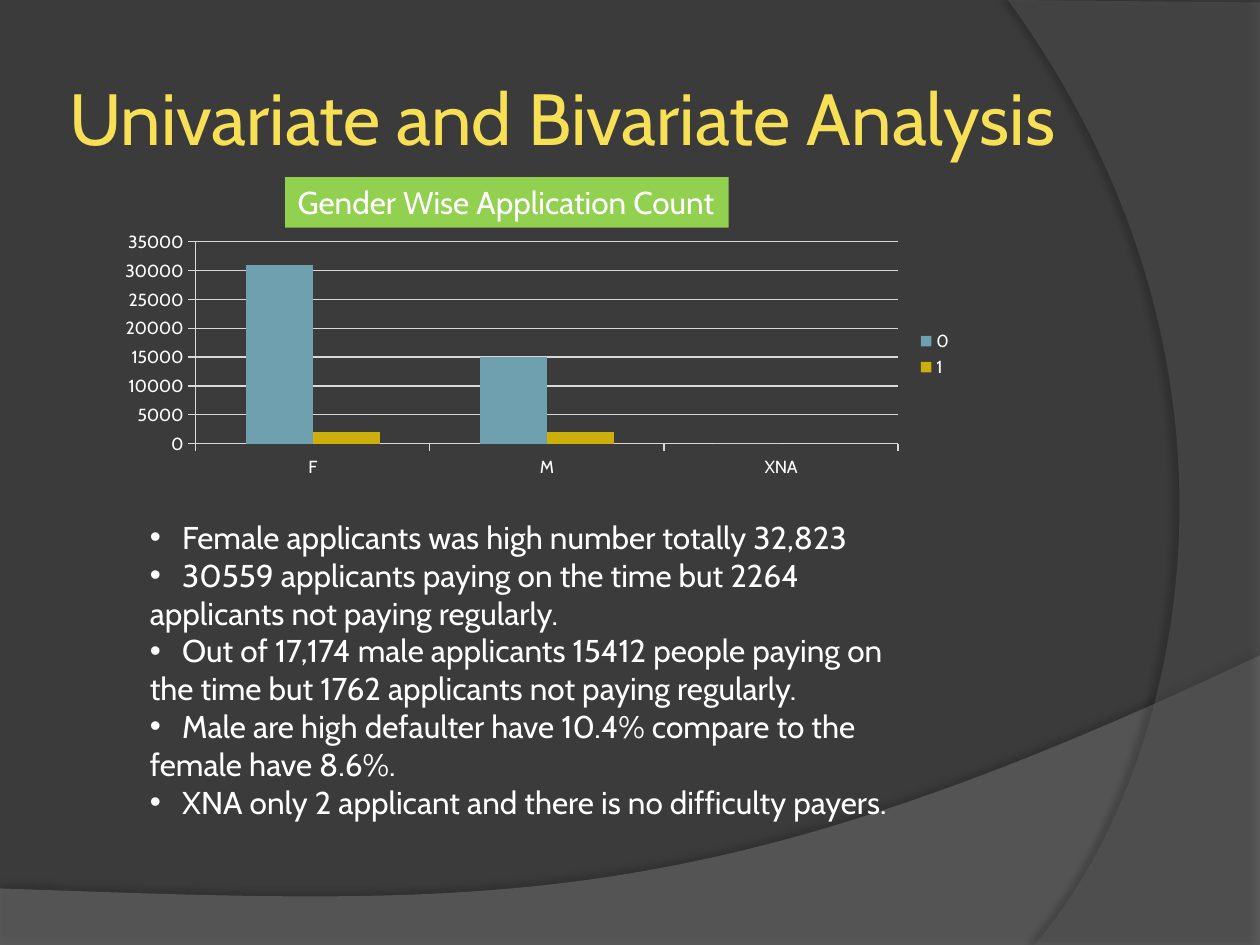
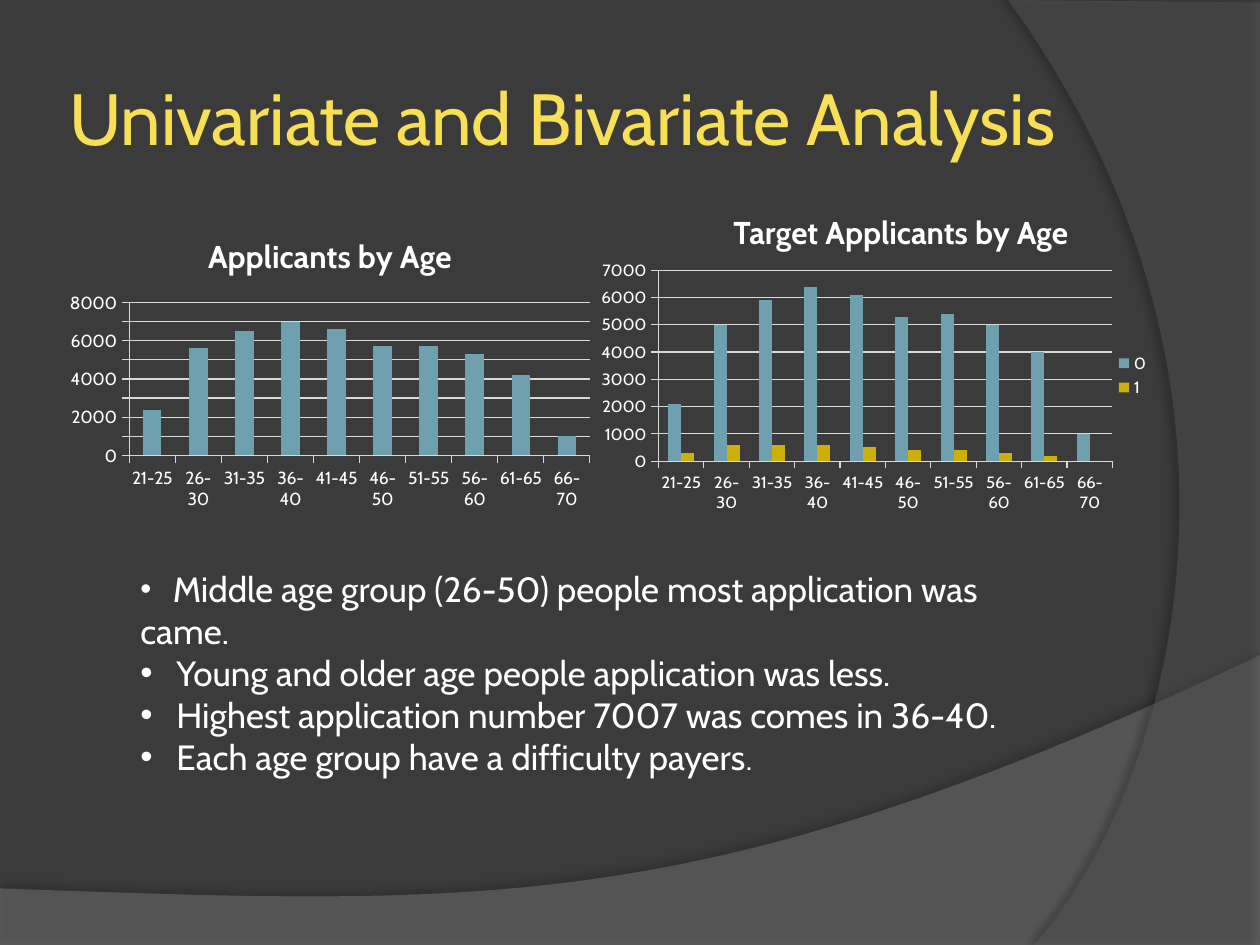
from dataclasses import dataclass
from typing import Optional

from lxml.etree import SubElement
from pptx import Presentation
from pptx.chart.data import CategoryChartData
from pptx.dml.color import RGBColor
from pptx.enum.chart import XL_CHART_TYPE as ChartType
from pptx.enum.chart import XL_LEGEND_POSITION as LegendPosition
from pptx.enum.chart import XL_TICK_MARK as TickMark
from pptx.enum.text import MSO_ANCHOR as Anchor
from pptx.enum.text import PP_ALIGN as Align
from pptx.oxml.ns import qn
from pptx.util import Cm, Pt


# Shared look
@dataclass(frozen=True)
class Theme:
    font: str = "Cabin"
    background: str = "3B3B3B"
    title: str = "F7DF56"
    text: str = "FFFFFF"
    label: str = "92D050"
    axis: str = "D9D9D9"
    series: tuple[str, ...] = ("6EA0B0", "CCAF0A")
    title_size: float = 41.4
    heading_size: float = 18
    body_size: float = 20
    chart_size: float = 10


THEME = Theme()
TITLE = "Univariate and Bivariate Analysis"
WIDTH, HEIGHT = 25.4, 19.05  # cm

Point = tuple[float, float]


@dataclass(frozen=True)
class Box:
    """A place on the slide, in centimetres."""
    left: float
    top: float
    width: float
    height: float

    def lengths(self) -> tuple[Cm, Cm, Cm, Cm]:
        return Cm(self.left), Cm(self.top), Cm(self.width), Cm(self.height)


@dataclass(frozen=True)
class Span:
    text: str
    size: float = THEME.heading_size
    color: str = THEME.text
    bold: bool = False


@dataclass(frozen=True)
class Band:
    """A background outline: straight corners, then a curve."""
    corners: tuple[Point, ...]
    curve: tuple[Point, Point, Point]
    color: str
    opacity: int
    shadow_opacity: int
    shadow_distance: float
    shadow_angle: int


@dataclass(frozen=True)
class ColumnChart:
    box: Box
    categories: tuple[str, ...]
    series: dict[str, tuple[Optional[int], ...]]
    maximum: int
    step: int
    title: str = ""
    plot: Optional[tuple[float, float, float, float]] = None


BANDS = (
    Band(((0, 17.91), (0, HEIGHT), (WIDTH, HEIGHT), (WIDTH, 13.21)),
         ((14.2, 18.52), (9.93, 18.26), (0, 17.91)),
         "7F7F7F", 45, 35, 3.5, 270),
    Band(((WIDTH, 0.05), (WIDTH, HEIGHT), (20.85, HEIGHT)),
         ((23.75, 15.72), (25.86, 7.62), (20.32, 0)),
         "5E5E5E", 40, 45, 4, 180),
)


def rgb(color: str) -> RGBColor:
    return RGBColor.from_string(color)


def add_alpha(color_element, percent: int) -> None:
    SubElement(color_element, qn("a:alpha"), val=str(percent * 1000))


def bend_last_side(shape, curve: tuple[Point, Point, Point]) -> None:
    """Turn the last straight side of a freeform into a cubic curve."""
    side = list(shape.element.spPr.iter(qn("a:lnTo")))[-1]
    side.tag = qn("a:cubicBezTo")
    side.clear()
    for x, y in curve:
        SubElement(side, qn("a:pt"), x=str(Cm(x) - shape.left), y=str(Cm(y) - shape.top))


def draw_band(page, band: Band) -> None:
    first, *rest = [(Cm(x), Cm(y)) for x, y in (*band.corners, band.curve[-1])]
    builder = page.shapes.build_freeform(*first)
    builder.add_line_segments(rest, close=True)
    shape = builder.convert_to_shape()
    bend_last_side(shape, band.curve)
    shape.fill.solid()
    shape.fill.fore_color.rgb = rgb(band.color)
    shape.line.fill.background()
    shape.shadow.inherit = False

    # Transparency and soft edge shadow
    properties = shape.element.spPr
    add_alpha(properties.find(qn("a:solidFill"))[0], band.opacity)
    shadow = SubElement(properties.find(qn("a:effectLst")), qn("a:outerShdw"),
                        blurRad=str(Pt(4)), dist=str(Pt(band.shadow_distance)),
                        dir=str(band.shadow_angle * 60000),
                        algn="ctr", rotWithShape="0")
    add_alpha(SubElement(shadow, qn("a:srgbClr"), val="000000"), band.shadow_opacity)


def style_font(font, span: Span) -> None:
    font.name = THEME.font
    font.size = Pt(span.size)
    font.bold = span.bold
    font.color.rgb = rgb(span.color)


def add_span(para, span: Span) -> None:
    run = para.add_run()
    run.text = span.text
    style_font(run.font, span)


def add_text(page, box: Box, paragraphs: list[list[Span]], align=Align.LEFT,
             fill: str = "", bulleted: bool = False):
    shape = page.shapes.add_textbox(*box.lengths())
    frame = shape.text_frame
    frame.word_wrap = True
    if fill:
        shape.fill.solid()
        shape.fill.fore_color.rgb = rgb(fill)
    for index, spans in enumerate(paragraphs):
        para = frame.add_paragraph() if index else frame.paragraphs[0]
        para.alignment = align
        for span in spans:
            add_span(para, span)
        if bulleted:
            add_bullet(para, spans[0].size)
    return frame


def add_bullet(para, size: float) -> None:
    """Bullet on the margin, with the text starting at a tab stop."""
    properties = para._p.get_or_add_pPr()
    properties.set("marL", "0")
    properties.set("indent", "0")
    SubElement(properties, qn("a:buFont"), typeface="Arial")
    SubElement(properties, qn("a:buChar"), char="•")
    tabs = SubElement(properties, qn("a:tabLst"))
    SubElement(tabs, qn("a:tab"), pos=str(Pt(size * 1.03)), algn="l")


def bullet(text: str, size: float = THEME.heading_size,
           mark_size: Optional[float] = None) -> list[Span]:
    return [Span("\t", mark_size or size), Span(text, size)]


def style_axis(axis) -> None:
    axis.major_tick_mark = TickMark.OUTSIDE
    axis.minor_tick_mark = TickMark.NONE
    axis.format.line.color.rgb = rgb(THEME.axis)
    axis.format.line.width = Pt(0.75)


def set_plot_layout(chart, plot: tuple[float, float, float, float]) -> None:
    area = chart._chartSpace.chart.plotArea
    layout = area.find(qn("c:layout"))
    if layout is None:
        layout = SubElement(area, qn("c:layout"))
        area.insert(0, layout)
    manual = SubElement(layout, qn("c:manualLayout"))
    settings = {"layoutTarget": "inner", "xMode": "edge", "yMode": "edge",
                **dict(zip("xywh", plot))}
    for name, value in settings.items():
        SubElement(manual, qn(f"c:{name}"), val=str(value))


def draw_chart(page, model: ColumnChart) -> None:
    data = CategoryChartData(number_format="General")
    data.categories = model.categories
    for name, values in model.series.items():
        data.add_series(name, values)
    chart = page.shapes.add_chart(ChartType.COLUMN_CLUSTERED,
                                  *model.box.lengths(), data).chart
    style_font(chart.font, Span("", THEME.chart_size))

    chart.has_title = bool(model.title)
    if model.title:
        add_span(chart.chart_title.text_frame.paragraphs[0],
                 Span(model.title, bold=True))
        chart.chart_title.include_in_layout = False
    chart.has_legend = len(model.series) > 1
    if chart.has_legend:
        chart.legend.position = LegendPosition.RIGHT
        chart.legend.include_in_layout = False

    bars = chart.plots[0]
    bars.gap_width = 150
    bars.overlap = 0
    bars.vary_by_categories = False
    for series, color in zip(bars.series, THEME.series):
        series.format.fill.solid()
        series.format.fill.fore_color.rgb = rgb(color)

    values = chart.value_axis
    style_axis(chart.category_axis)
    style_axis(values)
    values.minimum_scale, values.maximum_scale = 0, model.maximum
    values.major_unit = model.step
    values.has_major_gridlines = True
    values.major_gridlines.format.line.color.rgb = rgb(THEME.axis)
    values.major_gridlines.format.line.width = Pt(0.75)
    if model.plot:
        set_plot_layout(chart, model.plot)


def new_page(deck):
    """A blank page with the background bands and the title."""
    page = deck.slides.add_slide(deck.slide_layouts[6])
    for band in BANDS:
        draw_band(page, band)
    frame = add_text(page, Box(1.27, 0.76, 20.75, 3.18),
                     [[Span(TITLE, THEME.title_size, THEME.title)]])
    frame.vertical_anchor = Anchor.MIDDLE
    frame.margin_left = frame.margin_right = Cm(0.13)
    frame.margin_top = frame.margin_bottom = Cm(0.13)
    return page


def gender_page(deck) -> None:
    page = new_page(deck)
    draw_chart(page, ColumnChart(
        Box(2.18, 4.56, 17.27, 5.16), ("F", "M", "XNA"),
        {"0": (31000, 15000, 0), "1": (2000, 2000, None)}, 35000, 5000))
    add_text(page, Box(2.77, 10.32, 15.67, 6.4), [
        bullet("Female applicants was high number totally 32,823"),
        bullet("30559 applicants paying on the time but 2264 applicants not paying regularly."),
        bullet("Out of 17,174 male applicants 15412 people paying on the time "
               "but 1762 applicants not paying regularly."),
        bullet("Male are high defaulter have 10.4% compare to the female have 8.6%."),
        bullet("XNA only 2 applicant and there is no difficulty payers."),
    ], bulleted=True)
    add_text(page, Box(5.75, 3.57, 8.94, 1.02),
             [[Span("Gender Wise Application Count")]], fill=THEME.label)


def age_page(deck) -> None:
    page = new_page(deck)
    ages = tuple(f"{start}-{start + 4}" for start in range(21, 67, 5))
    size = THEME.body_size
    add_text(page, Box(2.58, 11.32, 18.85, 3.68), [
        bullet("Middle age group (26-50) people most application was came.",
               size, THEME.heading_size),
        bullet("Young and older age people application was less.", size),
        bullet("Highest application number 7007 was comes in 36-40.", size),
        bullet("Each age group have a difficulty payers", size) + [Span(".")],
    ], bulleted=True)
    draw_chart(page, ColumnChart(
        Box(12.12, 5.16, 11.3, 5.16), ages,
        {"0": (2100, 5000, 5900, 6400, 6100, 5300, 5400, 5000, 4000, 1000),
         "1": (300, 600, 600, 600, 500, 400, 400, 300, 200, 0)},
        7000, 1000, plot=(0.08, 0.06, 0.83, 0.8)))
    draw_chart(page, ColumnChart(
        Box(1.19, 4.36, 10.92, 6.04), ages,
        {"Series 1": (2400, 5600, 6500, 7000, 6600, 5700, 5700, 5300, 4200, 1000)},
        8000, 1000, title="Applicants by Age"))
    add_text(page, Box(14.49, 4.17, 7.34, 1.02),
             [[Span("Target Applicants by Age", bold=True)]], Align.CENTER)


def main() -> None:
    deck = Presentation()
    deck.slide_width, deck.slide_height = Cm(WIDTH), Cm(HEIGHT)
    backdrop = deck.slide_master.background.fill
    backdrop.solid()
    backdrop.fore_color.rgb = rgb(THEME.background)
    gender_page(deck)
    age_page(deck)
    deck.save("out.pptx")


if __name__ == "__main__":
    main()
